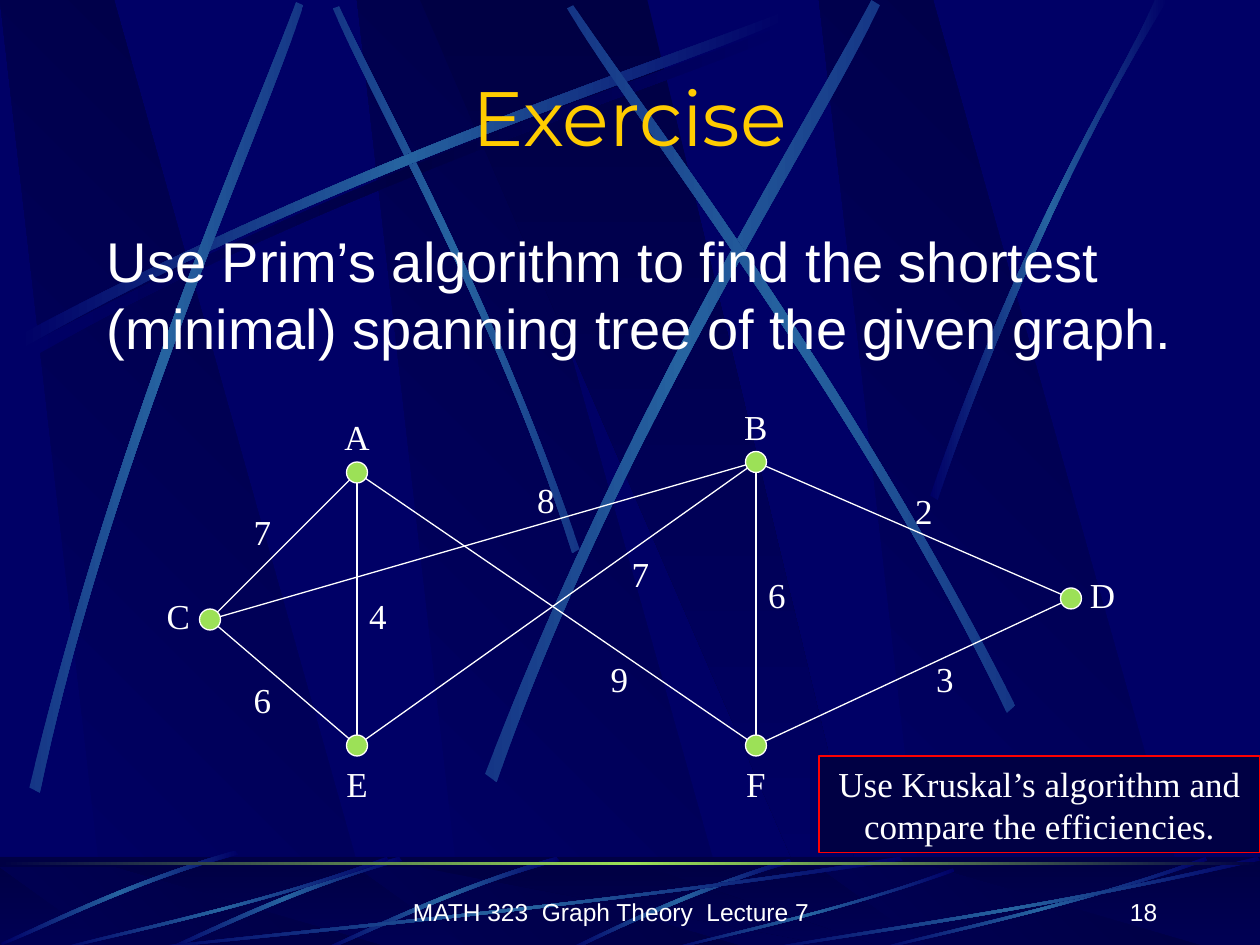
from lxml.etree import SubElement
from pptx import Presentation
from pptx.dml.color import RGBColor
from pptx.enum.shapes import MSO_CONNECTOR as Connector, MSO_SHAPE as Preset
from pptx.enum.text import MSO_ANCHOR as Anchor, PP_ALIGN as Align
from pptx.oxml.ns import qn
from pptx.util import Pt

PX = 7620  # EMU in one px: 120 px to the inch
COLORS = {"navy": "000066", "night": "000044", "ray": "2663A0", "ray_end": "153686",
          "green": "9CE157", "gold": "FFCC00", "white": "FFFFFF", "red": "FF0000"}
RAY = ("navy", "ray", "navy")
LONG_RAY = ("ray_end", "ray", "ray_end")

# Outlines in percent of their box
PANEL = [(28.5, 100), (100, 100), (30, 0), (0, 0)]
WEDGE = [(0, 0), (90, 100), (100, 100), (50, 0)]
# Every ray is two cubic curves, one for each long edge
REED = [(100, 4), (56.6, 57), (17.2, 85), (0.5, 100),
        (0, 99), (16.5, 81), (61.6, 51), (99.5, 0)]
SWEEP = [(24, 330), (341, 161), (629, 71), (751, 22),
         (755, 29), (634, 83), (305, 181), (28, 342)]
CROSSING_RAYS = [
    [(552, 523), (469, 281), (362, 92), (323, 6), (317, 8), (354, 95), (478, 310), (545, 527)],
    [(28, 750), (112, 401), (236, 126), (282, 2), (289, 5), (248, 130), (103, 442), (38, 755)],
    [(462, 737), (598, 384), (766, 122), (830, 0), (838, 5), (779, 130), (583, 426), (473, 745)],
    [(967, 672), (804, 352), (619, 114), (546, 5), (540, 8), (608, 121), (822, 390), (959, 679)],
]
RIGHT_RAY = [(886, 472), (977, 208), (1066, 79), (1100, 0),
             (1112, 0), (1003, 174), (923, 386), (893, 476)]
FOOTER_RAY = [(752, 818), (644, 851), (572, 890), (538, 905),
              (544, 906), (588, 884), (685, 840), (754, 822)]
SHORT_RAY = [(530, 816), (426, 846), (344, 888), (307, 904),
             (308, 906), (346, 892), (438, 844), (533, 820)]
REED_BOXES = [(120, 816, 740, 90), (50, 816, 320, 90), (632, 827, 277, 79),
              (830, 816, 320, 90), (720, 816, 480, 90)]

# Node: centre, then label centre
NODES = {"A": ((340, 450), (340, 417)), "B": ((720, 440), (720, 407)),
         "C": ((200, 590), (170, 587)), "D": ((1020, 570), (1050, 567)),
         "E": ((340, 710), (340, 747)), "F": ((720, 710), (720, 747))}
# Edge: its weight and the centre of the weight
EDGES = {"CA": ("7", (250, 507)), "CE": ("6", (250, 667)), "CB": ("8", (520, 477)),
         "AE": ("4", (360, 587)), "BF": ("6", (740, 567)), "DF": ("3", (900, 647)),
         "BD": ("2", (880, 487)), "BE": ("7", (610, 547)), "FA": ("9", (590, 647))}


def emu(*lengths):
    return [round(length * PX) for length in lengths]


def rgb(name):
    return RGBColor.from_string(COLORS[name])


def paint(shape, fill, line=None):
    shape.shadow.inherit = False
    shape.fill.solid()
    shape.fill.fore_color.rgb = rgb(fill)
    if line:
        shape.line.color.rgb = rgb(line)
        shape.line.width = Pt(0.75)
    else:
        shape.line.fill.background()


def paint_gradient(shape, names, angle=0):
    """Fill with evenly spaced colours; the angle runs counter-clockwise."""
    paint(shape, names[0])
    shape.fill.gradient()
    shape.fill.gradient_angle = angle
    stops = shape._element.spPr.find(f".//{qn('a:gsLst')}")
    stops.clear()
    for index, name in enumerate(names):
        stop = SubElement(stops, qn("a:gs"), pos=str(index * 100000 // (len(names) - 1)))
        SubElement(stop, qn("a:srgbClr"), val=COLORS[name])


def add_rectangle(slide, box):
    return slide.shapes.add_shape(Preset.RECTANGLE, *emu(*box))


def add_outline(slide, points, names, angle=0):
    start, *rest = [emu(*point) for point in points]
    builder = slide.shapes.build_freeform(*start, scale=1.0)
    builder.add_line_segments(rest, close=True)
    shape = builder.convert_to_shape()
    paint_gradient(shape, names, angle)
    return shape


def fit(points, box):
    """Place points given in percent inside a box."""
    left, top, width, height = box
    return [(left + x * width / 100, top + y * height / 100) for x, y in points]


def add_ray(slide, controls, names=RAY, shift=(0, 0)):
    """Draw the eight points as two cubic curves joined by straight ends."""
    moved = [(x + shift[0], y + shift[1]) for x, y in controls]
    shape = add_outline(slide, moved, names)
    segments = list(shape._element.spPr.iter(qn("a:lnTo")))
    for first, *others in (segments[:3], segments[4:7]):
        first.tag = qn("a:cubicBezTo")
        for segment in others:
            first.append(segment[0])
            segment.getparent().remove(segment)


def write(shape, text, size=20, font="Times New Roman", color="white",
          align=Align.CENTER, anchor=Anchor.TOP):
    frame = shape.text_frame
    frame.word_wrap = True
    frame.vertical_anchor = anchor
    paragraph = frame.paragraphs[0]
    paragraph.text = text
    paragraph.alignment = align
    paragraph.font.size = Pt(size)
    paragraph.font.name = font
    paragraph.font.color.rgb = rgb(color)


def add_text(slide, box, text, **style):
    write(slide.shapes.add_textbox(*emu(*box)), text, **style)


def add_panels(slide, top, height):
    for left in (340, 0, 780):
        add_outline(slide, fit(PANEL, (left, top, 362, height)), ("navy", "night"), 45)
    add_outline(slide, fit(WEDGE, (400, top, 433, height)), ("night", "navy"), 270)


def add_backdrop(slide):
    slide.background.fill.solid()
    slide.background.fill.fore_color.rgb = rgb("navy")
    add_panels(slide, 0, 900)
    add_ray(slide, SWEEP, ("navy", "night", "navy"), shift=(0, 0))
    add_ray(slide, CROSSING_RAYS[0], LONG_RAY)
    add_ray(slide, SWEEP, shift=(-7, -10))
    for ray in CROSSING_RAYS[1:]:
        add_ray(slide, ray, LONG_RAY)
    add_ray(slide, RIGHT_RAY)


def add_footer(slide, box):
    left, top, width, height = box
    paint_gradient(add_rectangle(slide, box), ("night", "navy"), 270)
    add_panels(slide, top + 10, height - 10)
    veil = add_rectangle(slide, box)
    paint(veil, "night")
    SubElement(veil._element.spPr.find(f".//{qn('a:srgbClr')}"), qn("a:alpha"), val="50000")
    add_ray(slide, FOOTER_RAY)
    for shift in ((0, 0), (-150, 0), (-306, -6)):
        add_ray(slide, SHORT_RAY, shift=shift)
    for reed_box in REED_BOXES:
        add_ray(slide, fit(REED, reed_box))
    paint_gradient(add_rectangle(slide, (left, top + 5, width, 3)), ("night", "green", "night"))
    style = dict(size=14, font="Arial", anchor=Anchor.BOTTOM)
    add_text(slide, (left + 370, top + 12, 424, 60), "MATH 323  Graph Theory  Lecture 7", **style)
    add_text(slide, (left + 864, top + 12, 250, 60), "18", align=Align.RIGHT, **style)


def add_label(slide, center, text):
    x, y = center
    add_text(slide, (x - 30, y - 27, 60, 53), text)


def add_edges(slide):
    for start, end in EDGES:
        line = slide.shapes.add_connector(
            Connector.STRAIGHT, *emu(*NODES[start][0], *NODES[end][0]))
        line.line.color.rgb = rgb("white")
        line.line.width = Pt(0.75)
        SubElement(line._element.spPr, qn("a:effectLst"))


def add_nodes(slide):
    for x, y in (center for center, _ in NODES.values()):
        paint(slide.shapes.add_shape(Preset.OVAL, *emu(x - 10, y - 10, 20, 20)), "green", "white")
    for name, (_, label_center) in NODES.items():
        add_label(slide, label_center, name)
    for weight, center in EDGES.values():
        add_label(slide, center, weight)


def add_heading(slide, box):
    """Format the title and lift it above the backdrop."""
    title = slide.shapes.title
    title._element.getparent().append(title._element)
    title.left, title.top, title.width, title.height = emu(*box)
    write(title, "Exercise", size=44, font="Montserrat", color="gold", anchor=Anchor.MIDDLE)


def main():
    presentation = Presentation()
    presentation.slide_width, presentation.slide_height = emu(1200, 900)
    slide = presentation.slides.add_slide(presentation.slide_layouts[5])
    add_backdrop(slide)
    add_footer(slide, (0, 816, 1200, 84))
    add_edges(slide)
    add_heading(slide, (90, 60, 1020, 100))
    add_text(slide, (90, 210, 1070, 150),
             "Use Prim’s algorithm to find the shortest (minimal) spanning tree of the given graph.",
             size=32, font="Arial", align=Align.LEFT)
    add_nodes(slide)
    note = add_rectangle(slide, (780, 720, 420, 92))
    paint(note, "night", "red")
    write(note, "Use Kruskal’s algorithm and compare the efficiencies.")
    presentation.save("out.pptx")


if __name__ == "__main__":
    main()
